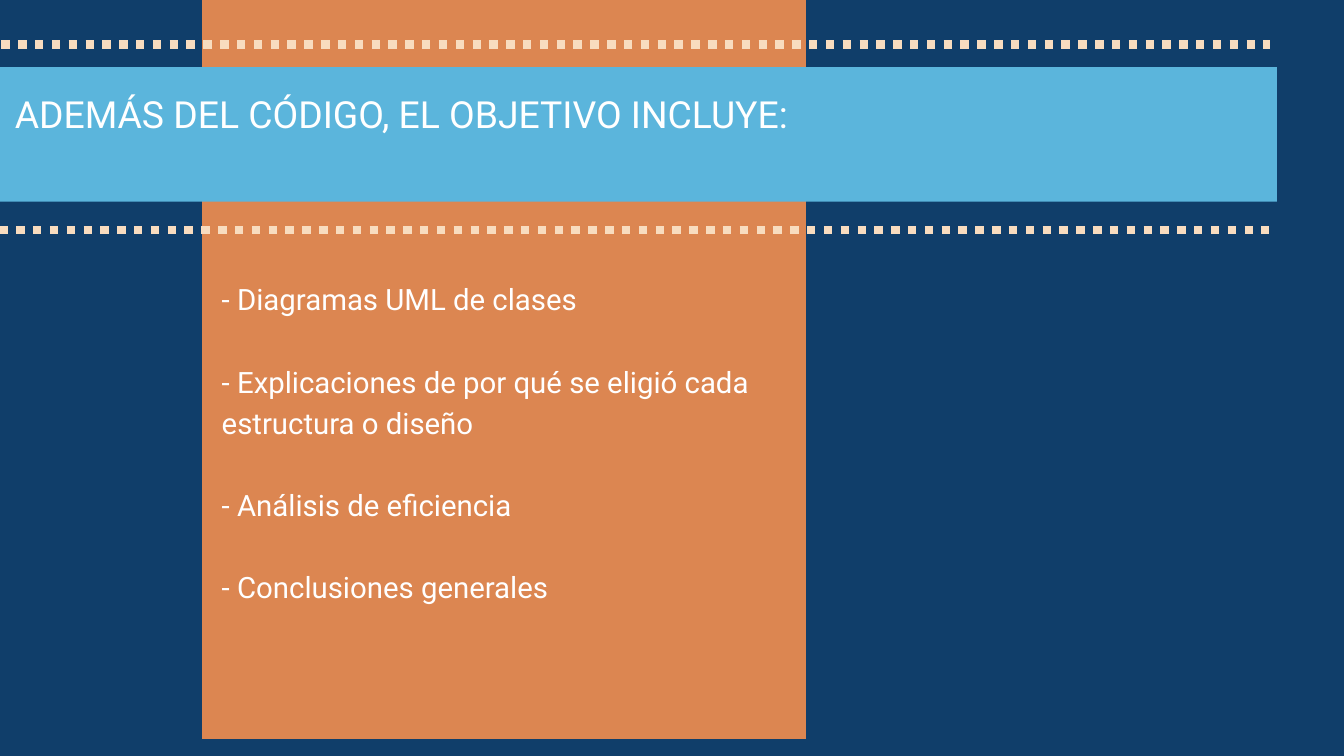
"""Build the slide that lists what the project goal includes besides code."""
from lxml.etree import SubElement
from pptx import Presentation
from pptx.dml.color import RGBColor as Color
from pptx.enum.dml import MSO_LINE_DASH_STYLE as Dash
from pptx.enum.shapes import MSO_CONNECTOR_TYPE as Connector
from pptx.oxml.ns import qn
from pptx.util import Inches, Pt

TITLE = "ADEMÁS DEL CÓDIGO, EL OBJETIVO INCLUYE:"
ITEMS = [
    "- Diagramas UML de clases",
    "- Explicaciones de por qué se eligió cada estructura o diseño",
    "- Análisis de eficiencia",
    "- Conclusiones generales",
]
THEME = {
    "font": "Roboto",
    "title_size": 40,
    "title_line": 56,
    "item_size": 31.5,
    "item_line": 44.1,
    "stitch_width": 9,
    "background": Color.from_string("103E6A"),
    "column": Color.from_string("DC8651"),
    "banner": Color.from_string("5BB5DC"),
    "stitch": Color.from_string("F8DCBF"),
    "text": Color.from_string("FFFFFF"),
}
WIDTH, HEIGHT = 20, 11.25
COLUMN = [(3.11, 0), (11.58, 0), (11.58, HEIGHT), (3.11, HEIGHT)]
BANNER = [(0, 0.72), (18.89, 0.72), (19.36, 2.04), (18.89, 3.36), (0, 3.36)]
STITCHES = [(-0.48, 18.9, 0.66), (-0.51, 18.88, 3.42)]


def add_outline(page, points, color):
    """Draw a filled closed polygon from points in inches."""
    builder = page.shapes.build_freeform(*points[0], scale=Inches(1))
    builder.add_line_segments(points[1:], close=True)
    shape = builder.convert_to_shape()
    shape.shadow.inherit = False
    shape.fill.solid()
    shape.fill.fore_color.rgb = color
    shape.line.fill.background()


def add_text(page, lines, *, at, size, line, gap=0):
    """Write one paragraph per line of text, with gap points between them."""
    box = page.shapes.add_textbox(*map(Inches, at))
    frame = box.text_frame
    frame.word_wrap = True
    frame.margin_left = frame.margin_right = 0
    frame.margin_top = frame.margin_bottom = 0
    for index, text in enumerate(lines):
        para = frame.add_paragraph() if index else frame.paragraphs[0]
        para.line_spacing = Pt(line)
        para.space_before = Pt(gap if index else 0)
        span = para.add_run()
        span.text = text
        span.font.name = THEME["font"]
        span.font.size = Pt(size)
        span.font.color.rgb = THEME["text"]


def add_stitch(page, left, right, top):
    """Draw a horizontal dotted line."""
    stitch = page.shapes.add_connector(
        Connector.STRAIGHT, Inches(left), Inches(top), Inches(right), Inches(top)
    )
    stitch.line.color.rgb = THEME["stitch"]
    stitch.line.width = Pt(THEME["stitch_width"])
    stitch.line.dash_style = Dash.ROUND_DOT
    SubElement(stitch._element.spPr, qn("a:effectLst"))


def main():
    """Assemble and save the deck."""
    deck = Presentation()
    deck.slide_width, deck.slide_height = Inches(WIDTH), Inches(HEIGHT)
    page = deck.slides.add_slide(deck.slide_layouts[6])
    page.background.fill.solid()
    page.background.fill.fore_color.rgb = THEME["background"]
    add_outline(page, COLUMN, THEME["column"])
    add_outline(page, BANNER, THEME["banner"])
    add_text(page, ITEMS, at=(3.3, 4.1, 8.1, 5.49), size=THEME["item_size"],
             line=THEME["item_line"], gap=THEME["item_line"])
    add_text(page, [TITLE], at=(0.22, 1.24, 14.24, 1.51),
             size=THEME["title_size"], line=THEME["title_line"])
    for stitch in STITCHES:
        add_stitch(page, *stitch)
    deck.save("out.pptx")


if __name__ == "__main__":
    main()
